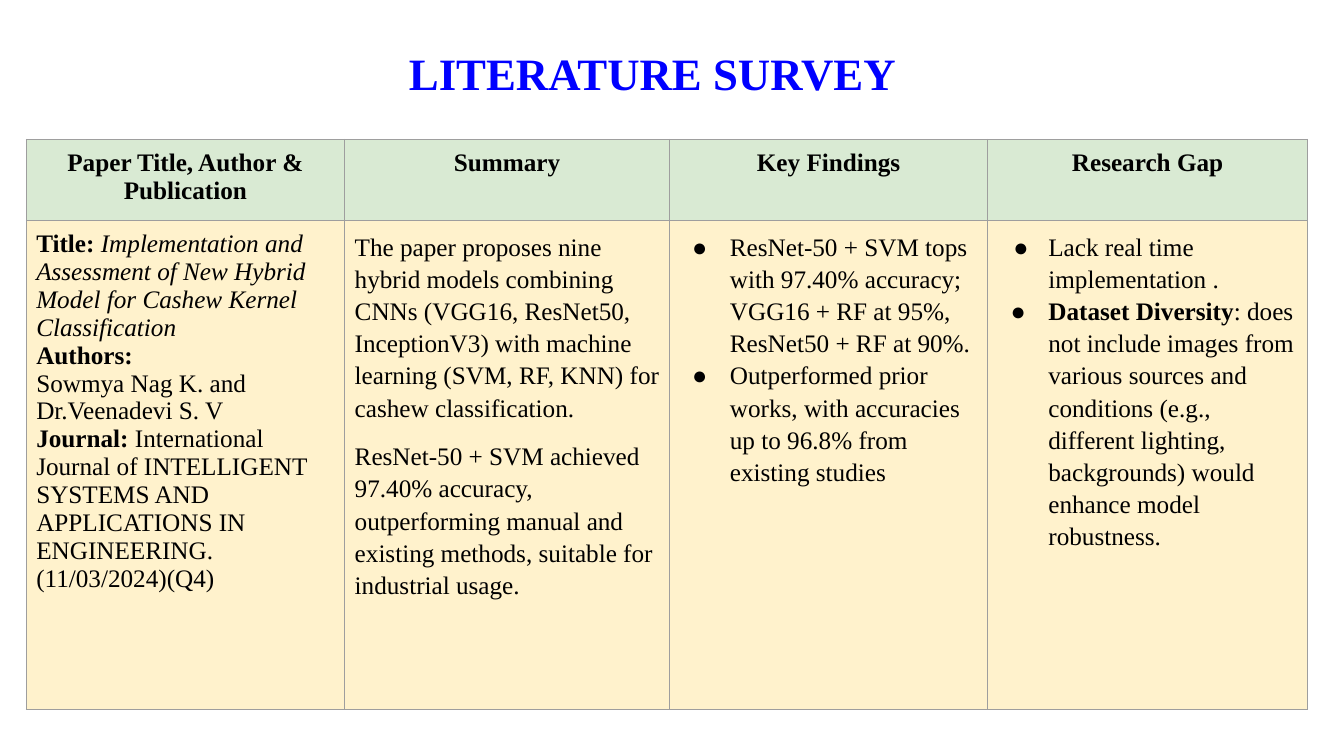
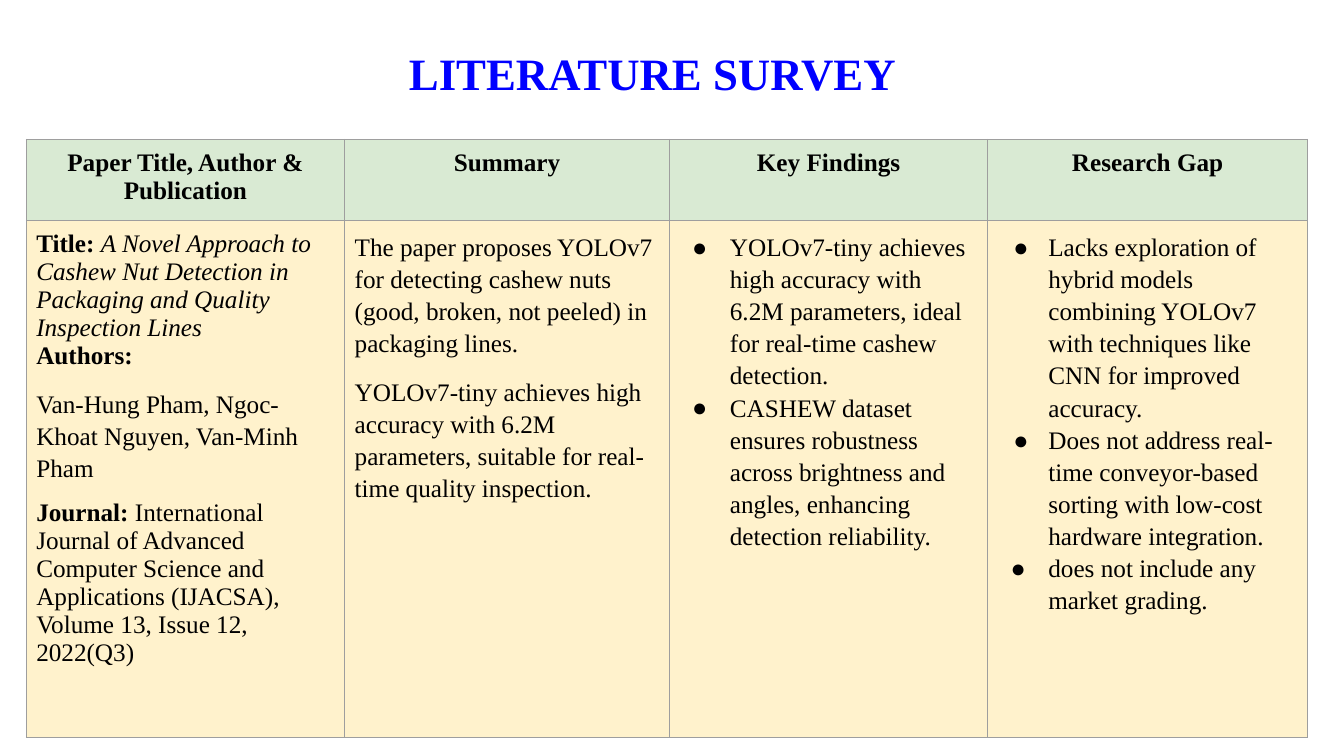
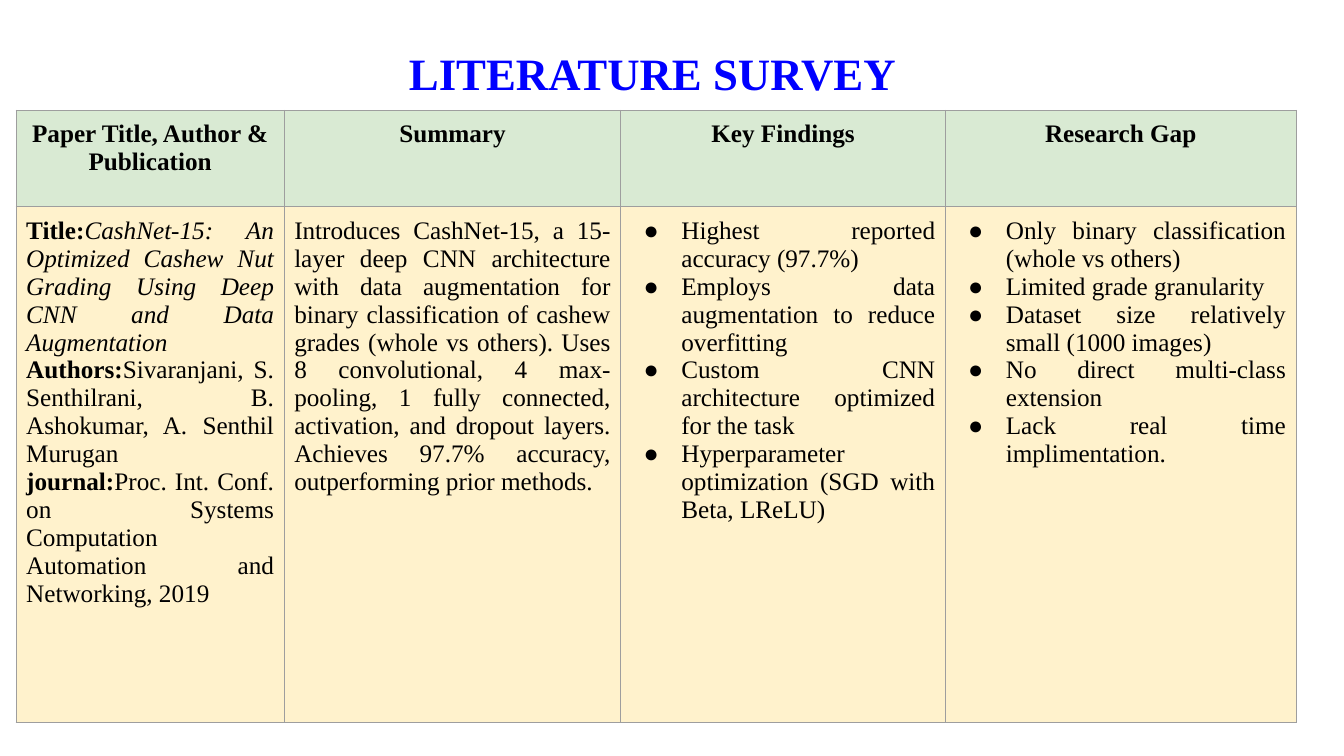
import dataclasses

import lxml.etree
import pptx
import pptx.dml.color
import pptx.enum.text
import pptx.oxml.ns
import pptx.util

Pt = pptx.util.Pt
Align = pptx.enum.text.PP_ALIGN
qn = pptx.oxml.ns.qn

COLORS = {
    "title": "0000FF",
    "text": "000000",
    "header": "D9EAD3",
    "body": "FFF2CC",
    "border": "9E9E9E",
}
FONT = "Times New Roman"
TITLE_SIZE = 32
TEXT_SIZE = 18
TITLE_BOX = (203, 28.8, 526.3, 46)
CELL_MARGIN = 7.2
BORDER_WIDTH = 0.75
BULLET_MARGIN = 36
HEADINGS = ["Paper Title, Author & Publication", "Summary", "Key Findings", "Research Gap"]


@dataclasses.dataclass
class Block:
    runs: list
    align: Align = Align.LEFT
    line_spacing: float = 1.0
    space_before: float = 0
    hanging: float = 0


@dataclasses.dataclass
class Survey:
    left: float
    top: float
    columns: list
    rows: list
    cells: list


def plain(text, **options):
    return Block([(text, "")], **options)


def bold(text, **options):
    return Block([(text, "b")], **options)


def labelled(label, text, style="", **options):
    return Block([(label, "b"), (text, style)], **options)


def spaced(*texts):
    return [plain(text, line_spacing=1.15, space_before=12 if index else 0)
            for index, text in enumerate(texts)]


def bullet(text, hanging=27):
    return plain(text, line_spacing=1.15, hanging=hanging)


def justified_bullets(*texts):
    return [plain(text, align=Align.JUSTIFY, hanging=27) for text in texts]


SURVEYS = [
    Survey(18.7, 99.5, [227.5, 232, 227.5, 228.2], [54, 349.5], [
        [
            labelled("Title: ", "Implementation and Assessment of New Hybrid Model for Cashew Kernel Classification", "i"),
            bold("Authors:"),
            plain("Sowmya Nag K. and Dr.Veenadevi S. V"),
            labelled("Journal: ", "International Journal of INTELLIGENT SYSTEMS AND APPLICATIONS IN ENGINEERING."),
            plain("(11/03/2024)(Q4)"),
        ],
        spaced(
            "The paper proposes nine hybrid models combining CNNs (VGG16, ResNet50, InceptionV3) with machine learning (SVM, RF, KNN) for cashew classification.",
            "ResNet-50 + SVM achieved 97.40% accuracy, outperforming manual and existing methods, suitable for industrial usage.",
        ),
        [
            bullet("ResNet-50 + SVM tops with 97.40% accuracy; VGG16 + RF at 95%, ResNet50 + RF at 90%."),
            bullet("Outperformed prior works, with accuracies up to 96.8% from existing studies"),
        ],
        [
            bullet("Lack real time implementation .", 25),
            labelled(
                "Dataset Diversity",
                ": does not include images from various sources and conditions (e.g., different lighting, backgrounds) would enhance model robustness.",
                line_spacing=1.15, hanging=27),
        ],
    ]),
    Survey(18.7, 99.5, [227.5, 232, 227.5, 228.2], [56.2, 370], [
        [
            labelled("Title: ", "A Novel Approach to Cashew Nut Detection in Packaging and Quality Inspection Lines", "i"),
            bold("Authors:"),
            plain("Van-Hung Pham, Ngoc-Khoat Nguyen, Van-Minh Pham", line_spacing=1.15, space_before=12),
            labelled(
                "Journal: ",
                "International Journal of Advanced Computer Science and Applications (IJACSA), Volume 13, Issue 12, 2022(Q3)",
                space_before=12),
        ],
        spaced(
            "The paper proposes YOLOv7 for detecting cashew nuts (good, broken, not peeled) in packaging lines.",
            "YOLOv7-tiny achieves high accuracy with 6.2M parameters, suitable for real-time quality inspection.",
        ),
        [
            bullet("YOLOv7-tiny achieves high accuracy with 6.2M parameters, ideal for real-time cashew detection."),
            bullet("CASHEW dataset ensures robustness across brightness and angles, enhancing detection reliability."),
        ],
        [
            bullet("Lacks exploration of hybrid models combining YOLOv7 with techniques like CNN for improved accuracy.", 25),
            bullet("Does not address real-time conveyor-based sorting with low-cost hardware integration.", 25),
            bullet("does not include any market grading."),
        ],
    ]),
    Survey(11.5, 78.8, [191.5, 240.5, 231.8, 250.6], [69, 368.6], [
        [
            labelled("Title:", "CashNet-15: An Optimized Cashew Nut Grading Using Deep CNN and Data Augmentation", "i", align=Align.JUSTIFY),
            labelled("Authors:", "Sivaranjani, S. Senthilrani, B. Ashokumar, A. Senthil Murugan", align=Align.JUSTIFY),
            labelled("journal:", "Proc. Int. Conf. on Systems Computation Automation and Networking, 2019", align=Align.JUSTIFY),
        ],
        [
            plain(
                "Introduces CashNet-15, a 15-layer deep CNN architecture with data augmentation for binary classification of cashew grades (whole vs others). Uses 8 convolutional, 4 max-pooling, 1 fully connected, activation, and dropout layers. Achieves 97.7% accuracy, outperforming prior methods.",
                align=Align.JUSTIFY),
        ],
        justified_bullets(
            "Highest reported accuracy (97.7%)",
            "Employs data augmentation to reduce overfitting",
            "Custom CNN architecture optimized for the task",
            "Hyperparameter optimization (SGD with Beta, LReLU)",
        ),
        justified_bullets(
            "Only binary classification (whole vs others)",
            "Limited grade granularity",
            "Dataset size relatively small (1000 images)",
            "No direct multi-class extension",
            "Lack real time implimentation.",
        ),
    ]),
]


def rgb(name):
    return pptx.dml.color.RGBColor.from_string(COLORS[name])


def add_color(parent, name):
    lxml.etree.SubElement(parent, qn("a:srgbClr"), val=COLORS[name])


def set_bullet(paragraph, hanging):
    properties = paragraph._p.get_or_add_pPr()
    properties.set("marL", str(Pt(BULLET_MARGIN)))
    properties.set("indent", str(-Pt(hanging)))
    add_color(lxml.etree.SubElement(properties, qn("a:buClr")), "text")
    lxml.etree.SubElement(properties, qn("a:buFont"), typeface=FONT)
    lxml.etree.SubElement(properties, qn("a:buChar"), char="●")


def set_style(font, style):
    font.bold = "b" in style
    font.italic = "i" in style


def write_blocks(text_frame, blocks, size=TEXT_SIZE, color="text"):
    for index, block in enumerate(blocks):
        paragraph = text_frame.add_paragraph() if index else text_frame.paragraphs[0]
        paragraph.alignment = block.align
        paragraph.line_spacing = block.line_spacing
        if block.space_before:
            paragraph.space_before = Pt(block.space_before)
        if block.hanging:
            set_bullet(paragraph, block.hanging)
        paragraph.font.name = FONT
        paragraph.font.size = Pt(size)
        paragraph.font.color.rgb = rgb(color)
        for text, style in block.runs:
            run = paragraph.add_run()
            run.text = text
            set_style(paragraph.font if len(block.runs) == 1 else run.font, style)


def format_cell(cell, fill):
    properties = cell._tc.get_or_add_tcPr()
    for side in ("lnL", "lnR", "lnT", "lnB"):
        line = lxml.etree.SubElement(properties, qn("a:" + side), w=str(Pt(BORDER_WIDTH)))
        add_color(lxml.etree.SubElement(line, qn("a:solidFill")), "border")
    cell.fill.solid()
    cell.fill.fore_color.rgb = rgb(fill)
    cell.margin_left = cell.margin_right = Pt(CELL_MARGIN)
    cell.margin_top = cell.margin_bottom = Pt(CELL_MARGIN)


def add_title(slide, box):
    shape = slide.shapes.add_textbox(*map(Pt, box))
    shape.text_frame.word_wrap = True
    write_blocks(shape.text_frame, [bold("LITERATURE SURVEY", align=Align.CENTER)], TITLE_SIZE, "title")


def add_survey_table(slide, survey):
    box = (survey.left, survey.top, sum(survey.columns), sum(survey.rows))
    table = slide.shapes.add_table(len(survey.rows), len(survey.columns), *map(Pt, box)).table
    table.first_row = table.horz_banding = False
    for column, width in zip(table.columns, survey.columns):
        column.width = Pt(width)
    for row, height in zip(table.rows, survey.rows):
        row.height = Pt(height)
    headings = [[bold(heading, align=Align.CENTER)] for heading in HEADINGS]
    for row_index, (fill, contents) in enumerate((("header", headings), ("body", survey.cells))):
        for column_index, blocks in enumerate(contents):
            cell = table.cell(row_index, column_index)
            format_cell(cell, fill)
            write_blocks(cell.text_frame, blocks)


def add_survey_slide(presentation, survey):
    slide = presentation.slides.add_slide(presentation.slide_layouts[6])
    add_title(slide, TITLE_BOX)
    add_survey_table(slide, survey)


def main():
    presentation = pptx.Presentation()
    presentation.slide_width = Pt(960)
    presentation.slide_height = Pt(540)
    for survey in SURVEYS:
        add_survey_slide(presentation, survey)
    presentation.save("out.pptx")


if __name__ == "__main__":
    main()
